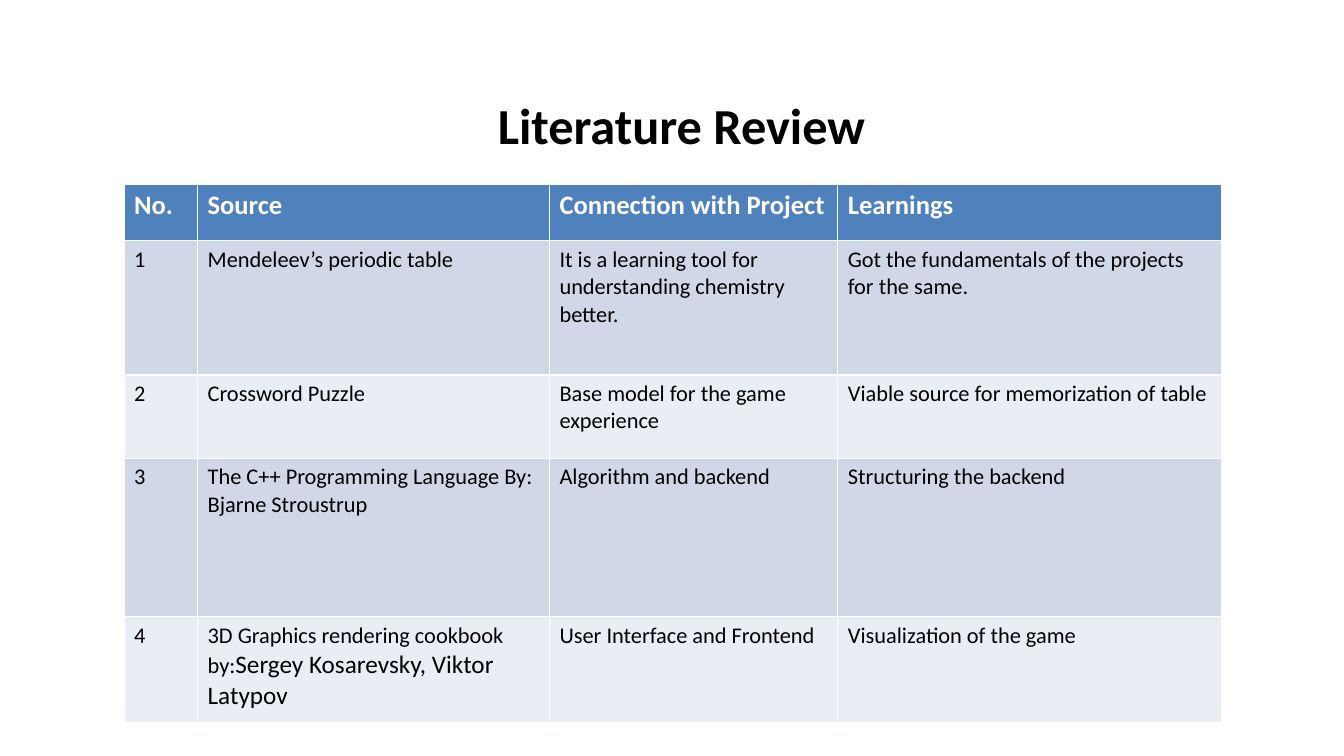
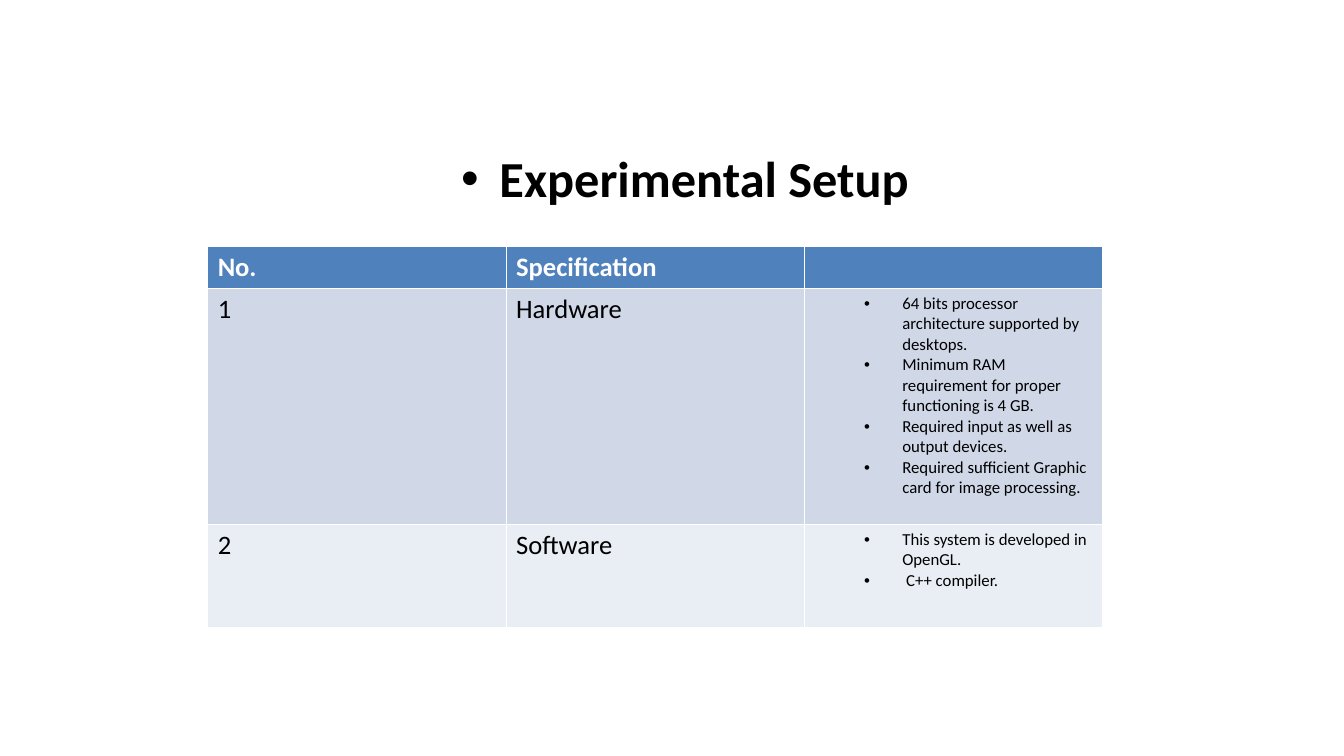
from pptx import Presentation
from pptx.dml.color import RGBColor as Rgb
from pptx.enum.text import MSO_ANCHOR as Anchor, MSO_AUTO_SIZE as Fit, PP_ALIGN as Align
from pptx.oxml.ns import qn
from pptx.util import Pt
from lxml.etree import SubElement as Sub

PX = 9144
FONT = "Calibri"
HUES = {"head": "4F81BD", "odd": "D0D8E8", "even": "E9EDF4", "text": "000000", "white": "FFFFFF"}

REVIEW = [
    ["No.", "Source", "Connection with Project", "Learnings"],
    ["1", "Mendeleev’s periodic table",
     "It is a learning tool for understanding chemistry better.",
     "Got the fundamentals of the projects for the same."],
    ["2", "Crossword Puzzle", "Base model for the game experience",
     "Viable source for memorization of table"],
    ["3", "The C++ Programming Language By: Bjarne Stroustrup",
     "Algorithm and backend", "Structuring the backend"],
    ["4", ("3D Graphics rendering cookbook by:", "Sergey Kosarevsky, Viktor Latypov"),
     "User Interface and Frontend", "Visualization of the game"],
]
SETUP = [
    ["No.", "Specification", ""],
    ["1", "Hardware", [
        "64 bits processor architecture supported by desktops.",
        "Minimum RAM requirement for proper functioning is 4 GB.",
        "Required input as well as output devices.",
        "Required sufficient Graphic card for image processing."]],
    ["2", "Software", ["This system is developed in OpenGL.", " C++ compiler."]],
]


def px(num):
    return int(num * PX)


def style(font, size, hue, bold):
    font.name = FONT
    font.size = Pt(size)
    font.bold = bold
    font.color.rgb = Rgb.from_string(HUES[hue])


def write(para, text, size=16, hue="text", bold=False):
    run = para.add_run()
    run.text = text
    style(run.font, size, hue, bold)


def bullet(para, left, hang):
    props = para._p.get_or_add_pPr()
    props.set("marL", str(px(left)))
    props.set("indent", str(-px(hang)))
    Sub(props, qn("a:buFont")).set("typeface", "Arial")
    Sub(props, qn("a:buChar")).set("char", "•")


def title(slide, text, box, dot=False):
    shape = slide.shapes.title
    shape.left, shape.top, shape.width, shape.height = map(px, box)
    frame = shape.text_frame
    frame.auto_size = Fit.NONE
    frame.word_wrap = True
    frame.vertical_anchor = Anchor.MIDDLE
    para = frame.paragraphs[0]
    para.alignment = Align.CENTER
    if dot:
        para.line_spacing = 1.06
        bullet(para, 38, 38)
    write(para, text, size=36, bold=True)


def fill(cell, item, hue, look):
    cell.fill.solid()
    cell.fill.fore_color.rgb = Rgb.from_string(HUES[hue])
    frame = cell.text_frame
    para = frame.paragraphs[0]
    if isinstance(item, list):
        for num, line in enumerate(item):
            para = frame.add_paragraph() if num else para
            para.level = 1
            bullet(para, 87, 38)
            write(para, line, size=12)
    elif isinstance(item, tuple):
        write(para, item[0], **look)
        write(para, item[1], size=18)
    elif item:
        write(para, item, **look)
    else:
        style(para.font, **look)


def grid(slide, data, spot, cols, rows, size):
    left, top = spot
    box = map(px, (left, top, sum(cols), sum(rows)))
    table = slide.shapes.add_table(len(rows), len(cols), *box).table
    for col, wide in zip(table.columns, cols):
        col.width = px(wide)
    for num, (row, high) in enumerate(zip(table.rows, rows)):
        row.height = px(high)
        hue = ("odd" if num % 2 else "even") if num else "head"
        look = dict(size=size if num else 19, hue="text" if num else "white", bold=not num)
        for cell, item in zip(row.cells, data[num]):
            fill(cell, item, hue, look)


def review(slide):
    title(slide, "Literature Review", (18, 37, 1316, 173))
    grid(slide, REVIEW, (123, 183), (73, 349, 286, 381), (56, 133, 83, 157, 105), 16)


def setup(slide):
    title(slide, "Experimental Setup", (47, 138, 1265, 73), dot=True)
    grid(slide, SETUP, (206, 244), (296,) * 3, (41, 234, 103), 19)


def main():
    deck = Presentation()
    deck.slide_width, deck.slide_height = px(1333), px(750)
    for draw in (review, setup):
        draw(deck.slides.add_slide(deck.slide_layouts[5]))
    deck.save("out.pptx")


if __name__ == "__main__":
    main()
